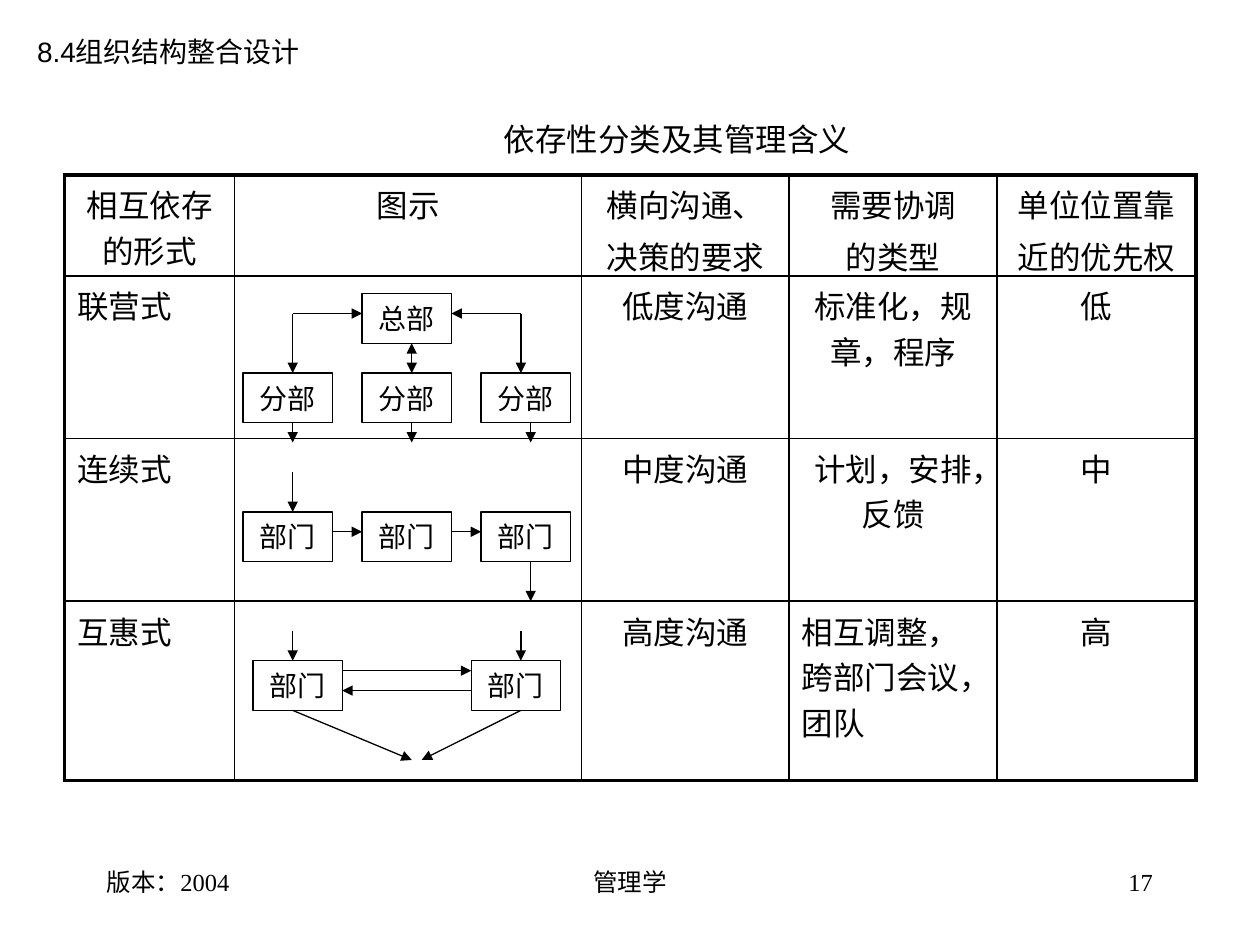
import dataclasses

import pptx
import pptx.dml.color
import pptx.enum.shapes
import pptx.enum.text
import pptx.oxml
import pptx.oxml.ns
import pptx.util

Cm = pptx.util.Cm
Pt = pptx.util.Pt
ALIGN = pptx.enum.text.PP_ALIGN
ANCHOR = pptx.enum.text.MSO_ANCHOR
qn = pptx.oxml.ns.qn


@dataclasses.dataclass(frozen=True)
class Theme:
    ink: str = "000000"
    paper: str = "FFFFFF"
    sans: str = "Arial"
    serif: str = "Times New Roman"
    title_size: float = 18
    label_size: float = 16
    footer_size: float = 14
    thin: float = 0.75
    grid: float = 1
    frame: float = 2.25


THEME = Theme()

# Table content: each cell holds a list of paragraphs
ROWS = [
    [["相互依存的形式"], ["图示"], ["横向沟通、", "决策的要求"],
     ["需要协调", "的类型"], ["单位位置靠", "近的优先权"]],
    [["联营式"], [], ["低度沟通"], ["标准化，规章，程序"], ["低"]],
    [["连续式"], [], ["中度沟通"], ["计划，安排，反馈"], ["中"]],
    [["互惠式"], [], ["高度沟通"], ["相互调整，跨部门会议，团队"], ["高"]],
]
COLUMN_WIDTHS = [3.43, 6.99, 4.19, 4.19, 4.01]
ROW_HEIGHTS = [2.03, 3.28, 3.28, 3.61]

# Diagram grid in centimetres
BOX_WIDTH, BOX_HEIGHT = 1.8, 1.0
LEFT, MIDDLE, RIGHT = (4.9 + 2.4 * step for step in range(3))
INSET = 0.2
STEM_LEFT, STEM_MIDDLE, STEM_RIGHT = (x + 1.0 for x in (LEFT, MIDDLE, RIGHT))


def color(value):
    return pptx.dml.color.RGBColor.from_string(value)


def apply(target, values):
    for name, value in values.items():
        setattr(target, name, value)


def write(frame, lines, size, font, align=ALIGN.LEFT, gap=0):
    """Fill a text frame with one paragraph per line."""
    for index, line in enumerate(lines):
        para = frame.paragraphs[0] if index == 0 else frame.add_paragraph()
        apply(para, {"alignment": align, "space_before": Pt(gap if index else 0)})
        span = para.add_run()
        span.text = line
        apply(span.font, {"size": Pt(size), "name": font})
        span.font.color.rgb = color(THEME.ink)


def add_text(page, line, place, size, font, align=ALIGN.LEFT):
    box = page.shapes.add_textbox(*map(Cm, place))
    box.text_frame.word_wrap = True
    write(box.text_frame, [line], size, font, align)


def set_title(page, line, place):
    title = page.shapes.title
    apply(title, dict(zip(("left", "top", "width", "height"), map(Cm, place))))
    apply(title.text_frame, {"vertical_anchor": ANCHOR.TOP, "word_wrap": True,
                             "auto_size": pptx.enum.text.MSO_AUTO_SIZE.NONE})
    write(title.text_frame, [line], THEME.title_size, THEME.sans)


def add_border(cell, side, width):
    cell._tc.get_or_add_tcPr().append(pptx.oxml.parse_xml(
        f'<a:ln{side} {pptx.oxml.ns.nsdecls("a")} w="{Pt(width)}"><a:solidFill>'
        f'<a:srgbClr val="{THEME.ink}"/></a:solidFill></a:ln{side}>'))


def add_table(page, left, top):
    last_row, last_column = len(ROWS) - 1, len(COLUMN_WIDTHS) - 1
    table = page.shapes.add_table(
        len(ROWS), len(COLUMN_WIDTHS), Cm(left), Cm(top),
        Cm(sum(COLUMN_WIDTHS)), Cm(sum(ROW_HEIGHTS))).table
    apply(table, {"first_row": False, "horz_banding": False})
    for column, width in zip(table.columns, COLUMN_WIDTHS):
        column.width = Cm(width)
    for row, height in zip(table.rows, ROW_HEIGHTS):
        row.height = Cm(height)
    for y, row in enumerate(ROWS):
        for x, lines in enumerate(row):
            cell = table.cell(y, x)
            outer = {"L": x == 0, "R": x == last_column,
                     "T": y == 0, "B": y == last_row}
            for side, on_frame in outer.items():
                add_border(cell, side, THEME.frame if on_frame else THEME.grid)
            cell.fill.background()
            if y == 0:
                cell.margin_bottom = 0
            # Row names and the longest entry are set flush left
            flush = y > 0 and (x == 0 or (y, x) == (last_row, 3))
            write(cell.text_frame, lines, THEME.title_size, THEME.serif,
                  ALIGN.LEFT if flush else ALIGN.CENTER, gap=3.6)


def add_unit(page, label, left, top):
    unit = page.shapes.add_shape(
        pptx.enum.shapes.MSO_SHAPE.RECTANGLE,
        *map(Cm, (left, top, BOX_WIDTH, BOX_HEIGHT)))
    unit.shadow.inherit = False
    unit.fill.solid()
    unit.fill.fore_color.rgb = color(THEME.paper)
    unit.line.color.rgb = color(THEME.ink)
    unit.line.width = Pt(THEME.thin)
    apply(unit.text_frame, {"word_wrap": False, "vertical_anchor": ANCHOR.MIDDLE})
    write(unit.text_frame, [label], THEME.label_size, THEME.sans, ALIGN.CENTER)


def add_arrow(page, start_x, start_y, end_x, end_y, both=False):
    arrow = page.shapes.add_connector(
        pptx.enum.shapes.MSO_CONNECTOR.STRAIGHT,
        *map(Cm, (start_x, start_y, end_x, end_y)))
    arrow.line.color.rgb = color(THEME.ink)
    arrow.line.width = Pt(THEME.thin)
    properties = arrow.element.spPr
    outline = properties.find(qn("a:ln"))
    for end in ("a:headEnd", "a:tailEnd") if both else ("a:tailEnd",):
        outline.append(pptx.oxml.parse_xml(
            f'<{end} {pptx.oxml.ns.nsdecls("a")} type="triangle"/>'))
    properties.append(pptx.oxml.parse_xml(
        f'<a:effectLst {pptx.oxml.ns.nsdecls("a")}/>'))


def draw_pooled(page, top):
    """Head office above three divisions."""
    divisions, bar = top + 1.6, top + 0.4
    add_unit(page, "总部", MIDDLE, top)
    for left, stem in zip((LEFT, MIDDLE, RIGHT),
                          (STEM_LEFT, STEM_MIDDLE, STEM_RIGHT)):
        add_unit(page, "分部", left, divisions)
        foot = divisions + BOX_HEIGHT
        add_arrow(page, stem, foot, stem, foot + 0.4)
    for stem, side in ((STEM_LEFT, MIDDLE),
                       (STEM_RIGHT - INSET, MIDDLE + BOX_WIDTH)):
        add_arrow(page, stem, bar, side, bar)
        add_arrow(page, stem, bar, stem, divisions)
    add_arrow(page, STEM_MIDDLE, top + BOX_HEIGHT, STEM_MIDDLE, divisions, both=True)


def draw_sequential(page, top):
    """Three departments in a chain."""
    for left in (LEFT, MIDDLE, RIGHT):
        add_unit(page, "部门", left, top)
    for start, end in ((LEFT, MIDDLE), (MIDDLE, RIGHT)):
        add_arrow(page, start + BOX_WIDTH, top + 0.4, end, top + 0.4)
    foot = top + BOX_HEIGHT
    add_arrow(page, STEM_LEFT, top - 0.8, STEM_LEFT, top)
    add_arrow(page, STEM_RIGHT, foot, STEM_RIGHT, foot + 0.8)


def draw_reciprocal(page, top):
    """Two departments that feed each other."""
    first, second = LEFT + INSET, RIGHT - INSET
    foot = top + BOX_HEIGHT
    for left, stem, target in ((first, STEM_LEFT, STEM_MIDDLE),
                               (second, STEM_RIGHT - INSET, STEM_MIDDLE + INSET)):
        add_unit(page, "部门", left, top)
        add_arrow(page, stem, top - 0.6, stem, top)
        add_arrow(page, stem, foot, target, foot + 1.0)
    add_arrow(page, first + BOX_WIDTH, top + 0.2, second, top + 0.2)
    add_arrow(page, second, top + 0.6, first + BOX_WIDTH, top + 0.6)


def main():
    deck = pptx.Presentation()
    apply(deck, {"slide_width": Cm(25.4), "slide_height": Cm(19.05)})
    page = deck.slides.add_slide(deck.slide_layouts[5])

    # Headings
    add_text(page, "8.4组织结构整合设计", (0.5, 0.58, 5.82, 0.94),
             THEME.label_size, THEME.sans)
    set_title(page, "依存性分类及其管理含义", (9.9, 2.3, 8.4, 1.02))

    # Table with a diagram in each row
    add_table(page, 1.3, 3.53)
    draw_pooled(page, 5.92)
    draw_sequential(page, 10.32)
    draw_reciprocal(page, 13.32)

    # Footer
    for line, left, width, align in (("版本：2004", 1.9, 5.29, ALIGN.LEFT),
                                     ("管理学", 8.68, 8.04, ALIGN.CENTER),
                                     ("17", 18.2, 5.29, ALIGN.RIGHT)):
        add_text(page, line, (left, 17.35, width, 1.27),
                 THEME.footer_size, THEME.serif, align)

    deck.save("out.pptx")


if __name__ == "__main__":
    main()
